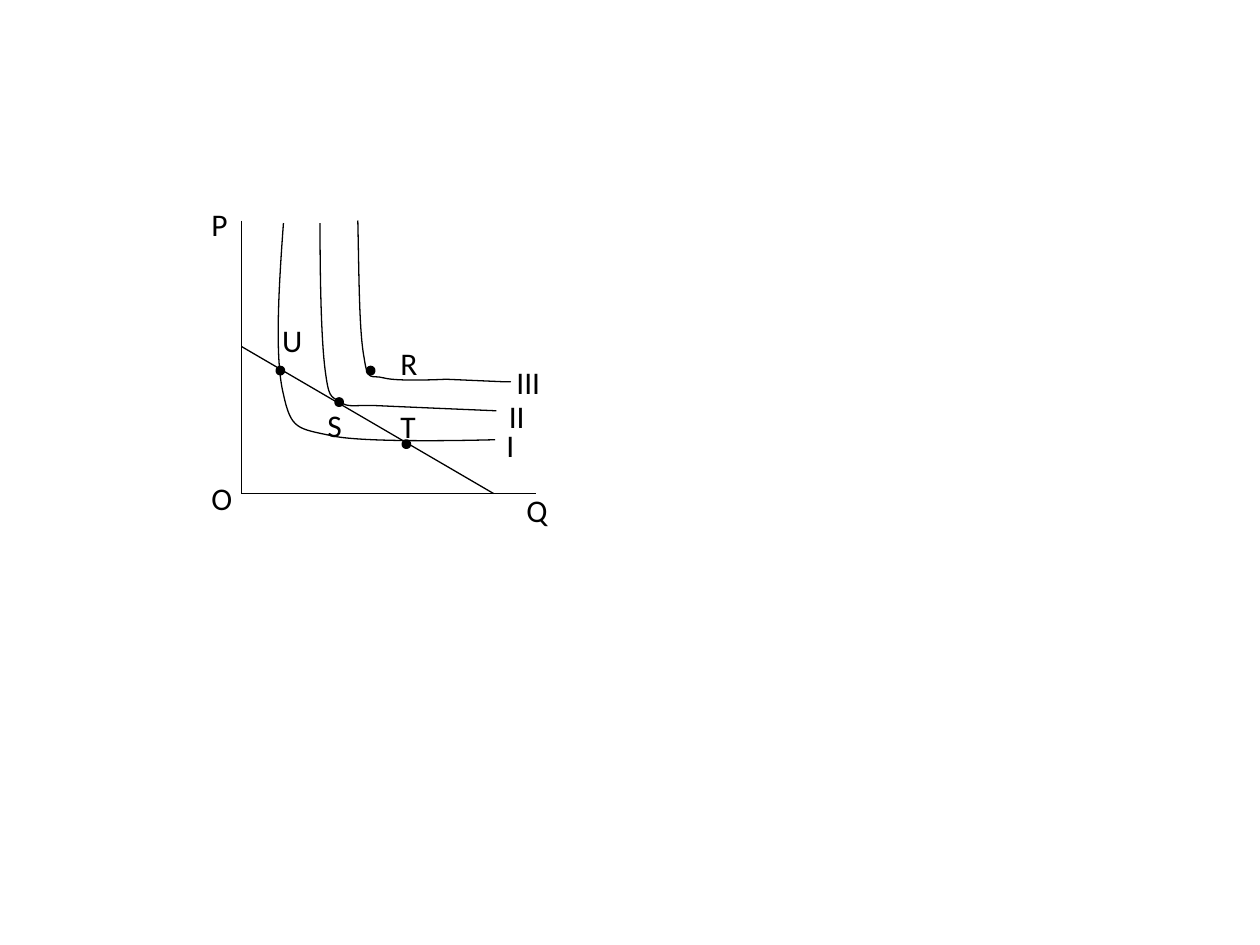
from typing import NamedTuple

from pptx import Presentation
from pptx.dml.color import RGBColor
from pptx.enum.shapes import MSO_CONNECTOR, MSO_SHAPE
from pptx.enum.text import MSO_AUTO_SIZE
from pptx.oxml.ns import qn
from pptx.util import Inches, Pt

STRAIGHT = MSO_CONNECTOR.STRAIGHT
OVAL = MSO_SHAPE.OVAL
GROW = MSO_AUTO_SIZE.SHAPE_TO_FIT_TEXT
BLACK = "000000"
THIN, THICK = 0.75, 2
DOT = 0.05
GRID = 12


class Point(NamedTuple):
    x: float
    y: float


class Line(NamedTuple):
    start: Point
    end: Point


class Bend(NamedTuple):
    lead: Point
    pull: Point
    end: Point


class Curve(NamedTuple):
    start: Point
    bends: list[Bend]


class Label(NamedTuple):
    text: str
    x: float
    y: float
    width: float


def cell(col: float, row: float) -> Point:
    return Point(col / GRID, row / GRID)


ORIGIN = cell(23, 47)
AXES = [Line(cell(23, 21), ORIGIN), Line(ORIGIN, cell(51, 47))]
BUDGET = Line(cell(23, 33), cell(47, 47))

CURVES = [
    Curve(Point(2.25, 1.77), [
        Bend(Point(2.21, 2.31), Point(2.18, 2.85), Point(2.25, 3.13)),
        Bend(Point(2.31, 3.41), Point(2.36, 3.4), Point(2.64, 3.46)),
        Bend(Point(2.92, 3.52), Point(3.93, 3.49), Point(3.93, 3.49)),
    ]),
    Curve(Point(2.54, 1.77), [
        Bend(Point(2.54, 2.23), Point(2.55, 2.69), Point(2.58, 2.93)),
        Bend(Point(2.61, 3.16), Point(2.62, 3.14), Point(2.7, 3.19)),
        Bend(Point(2.77, 3.24), Point(2.81, 3.21), Point(3.01, 3.22)),
        Bend(Point(3.22, 3.23), Point(3.94, 3.26), Point(3.94, 3.26)),
    ]),
    Curve(Point(2.84, 1.75), [
        Bend(Point(2.85, 2.19), Point(2.85, 2.63), Point(2.89, 2.84)),
        Bend(Point(2.92, 3.04), Point(2.94, 2.97), Point(3.05, 3)),
        Bend(Point(3.16, 3.03), Point(3.54, 3.01), Point(3.54, 3.01)),
        Bend(Point(3.54, 3.01), Point(4, 3.03), Point(4, 3.03)),
        Bend(Point(4.08, 3.03), Point(4.05, 3.03), Point(4.02, 3.03)),
    ]),
]

DOTS = [cell(35, 35), cell(32, 38), cell(38.4, 42), cell(26.4, 35)]

LABELS = [
    Label("R", 3.08, 2.68, 0.34),
    Label("T", 3.08, 3.18, 0.32),
    Label("S", 2.5, 3.17, 0.32),
    Label("U", 2.14, 2.5, 0.36),
    Label("III", 4, 2.83, 0.39),
    Label("II", 3.94, 3.1, 0.33),
    Label("I", 3.92, 3.33, 0.27),
    Label("Q", 4.08, 3.85, 0.37),
    Label("O", 1.58, 3.75, 0.37),
    Label("P", 1.58, 1.58, 0.33),
]

FONT = {"name": "Calibri", "size": Pt(18)}
FRAME = {"word_wrap": False, "auto_size": GROW}


def apply(item, values: dict) -> None:
    for name, value in values.items():
        setattr(item, name, value)


def paint(color, code: str) -> None:
    color.rgb = RGBColor.from_string(code)


def stroke(shape, width: float) -> None:
    shape.line.width = Pt(width)
    shape.line.fill.solid()
    paint(shape.line.color, BLACK)


def draw_line(slide, line: Line) -> None:
    ends = [Inches(v) for point in line for v in point]
    link = slide.shapes.add_connector(STRAIGHT, *ends)
    stroke(link, THIN)
    props = link._element.spPr
    props.append(props.makeelement(qn("a:effectLst"), {}))


def round_off(shape) -> None:
    legs = list(shape._element.iter(qn("a:lnTo")))
    for first in range(0, len(legs), 3):
        trio = legs[first:first + 3]
        arc = trio[0].makeelement(qn("a:cubicBezTo"), {})
        trio[0].addprevious(arc)
        for leg in trio:
            arc.append(leg[0])
            leg.getparent().remove(leg)


def draw_curve(slide, curve: Curve) -> None:
    pen = slide.shapes.build_freeform(*map(Inches, curve.start))
    points = [tuple(map(Inches, p)) for bend in curve.bends for p in bend]
    pen.add_line_segments(points, close=False)
    shape = pen.convert_to_shape()
    round_off(shape)
    shape.shadow.inherit = False
    shape.fill.background()
    stroke(shape, THIN)


def draw_dot(slide, point: Point) -> None:
    dot = slide.shapes.add_shape(OVAL, *map(Inches, (*point, DOT, DOT)))
    dot.shadow.inherit = False
    dot.fill.solid()
    paint(dot.fill.fore_color, BLACK)
    stroke(dot, THICK)


def draw_label(slide, label: Label) -> None:
    area = (label.x, label.y, label.width, 0.4)
    frame = slide.shapes.add_textbox(*map(Inches, area)).text_frame
    apply(frame, FRAME)
    run = frame.paragraphs[0].add_run()
    run.text = label.text
    apply(run.font, FONT)
    paint(run.font.color, BLACK)


def main() -> None:
    deck = Presentation()
    apply(deck, {"slide_width": Inches(10), "slide_height": Inches(7.5)})
    slide = deck.slides.add_slide(deck.slide_layouts[6])
    for line in AXES:
        draw_line(slide, line)
    for curve in CURVES:
        draw_curve(slide, curve)
    for dot in DOTS:
        draw_dot(slide, dot)
    draw_line(slide, BUDGET)
    for label in LABELS:
        draw_label(slide, label)
    deck.save("out.pptx")


if __name__ == "__main__":
    main()
